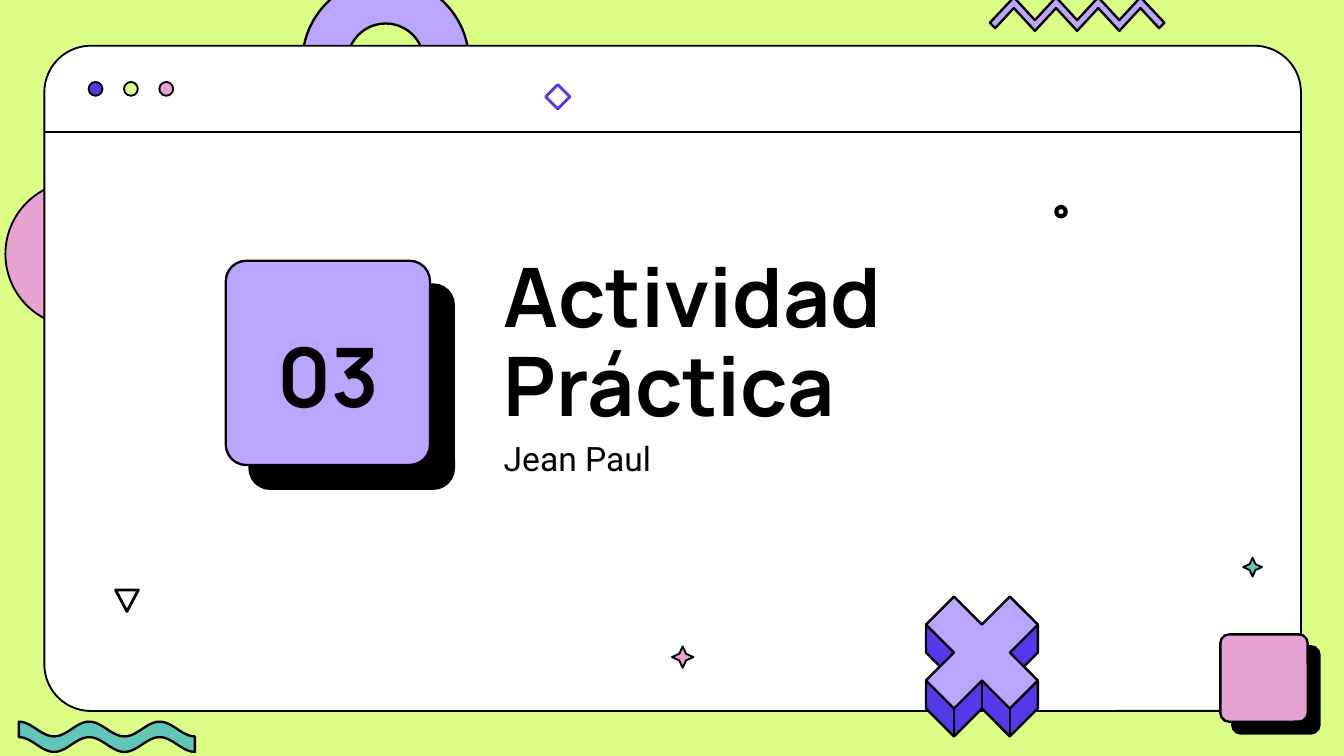
from math import cos, pi
from typing import NamedTuple, Optional

from lxml.etree import SubElement
from pptx import Presentation
from pptx.dml.color import RGBColor
from pptx.enum.shapes import MSO_CONNECTOR, MSO_SHAPE
from pptx.enum.text import MSO_ANCHOR, PP_ALIGN
from pptx.oxml.ns import qn
from pptx.util import Emu, Inches, Pt

COLS, ROWS = 100, 56.25
WIDE = Inches(10)
CELL = WIDE / COLS
BLACK, WHITE, LIME = "000000", "FFFFFF", "DBFE87"
LILAC, BLUE, PINK, TEAL = "BAA5FF", "5339EA", "E6A2D0", "60C7B8"


class Box(NamedTuple):
    """A place on the grid, in columns and rows."""
    col: float
    row: float
    wide: float
    high: float


class Style(NamedTuple):
    """Fill, line colour and line width in points."""
    fill: Optional[str]
    line: str = BLACK
    width: float = 1


class Form(NamedTuple):
    """A preset shape with its place, look and options."""
    kind: MSO_SHAPE
    box: Box
    style: Style
    bend: Optional[float] = None
    shade: float = 0


class Label(NamedTuple):
    """A line of text with its place and type."""
    text: str
    box: Box
    font: str
    size: float
    bold: bool
    anchor: MSO_ANCHOR
    align: PP_ALIGN
    gap: float


def grid(num: float) -> Emu:
    """Turn grid cells into a length."""
    return Emu(round(num * CELL))


def tint(color: str) -> RGBColor:
    """Turn a hex string into a colour."""
    return RGBColor.from_string(color)


def paint(shape, style: Style) -> None:
    """Give a shape its fill and line, without a theme shadow."""
    shape.shadow.inherit = False
    if style.fill:
        shape.fill.solid()
        shape.fill.fore_color.rgb = tint(style.fill)
    else:
        shape.fill.background()
    shape.line.color.rgb = tint(style.line)
    shape.line.width = Pt(style.width)


def cast(shape, points: float) -> None:
    """Add a hard black shadow toward the lower right."""
    effects = shape._element.spPr.find(qn("a:effectLst"))
    outer = SubElement(effects, qn("a:outerShdw"), dist=str(Pt(points)),
                       dir="2700000", algn="bl", rotWithShape="0")
    SubElement(outer, qn("a:srgbClr"), val=BLACK)


def draw(slide, form: Form) -> None:
    """Draw a preset shape."""
    shape = slide.shapes.add_shape(form.kind, *map(grid, form.box))
    paint(shape, form.style)
    if form.bend is not None:
        shape.adjustments[0] = form.bend
    if form.shade:
        cast(shape, form.shade)


def trace(slide, points: list, style: Style) -> None:
    """Draw a closed outline through grid points."""
    spots = [(grid(col), grid(row)) for col, row in points]
    pen = slide.shapes.build_freeform(*spots[0], scale=1)
    pen.add_line_segments(spots[1:], close=True)
    paint(pen.convert_to_shape(), style)


def rule(slide, start: tuple, end: tuple, width: float) -> None:
    """Draw a straight black line between grid points."""
    line = slide.shapes.add_connector(
        MSO_CONNECTOR.STRAIGHT, *map(grid, start + end))
    line.line.color.rgb = tint(BLACK)
    line.line.width = Pt(width)
    SubElement(line._element.spPr, qn("a:effectLst"))


def write(slide, label: Label) -> None:
    """Write a label in a text box."""
    frame = slide.shapes.add_textbox(*map(grid, label.box)).text_frame
    frame.word_wrap = True
    frame.vertical_anchor = label.anchor
    frame.margin_top = frame.margin_bottom = grid(1)
    para = frame.paragraphs[0]
    para.text = label.text
    para.alignment = label.align
    para.line_spacing = 0.9
    para.space_before = Pt(label.gap)
    para.font.name = label.font
    para.font.size = Pt(label.size)
    para.font.bold = label.bold
    para.font.color.rgb = tint(BLACK)


def cross(slide) -> None:
    """Draw the solid cross on its own small grid."""
    def spot(col: float, row: float) -> tuple:
        return 68.9 + 2.08 * col, 44.4 + 2.08 * row

    top = [(1, 0), (2, 1), (3, 0), (4, 1), (3, 2), (4, 3),
           (3, 4), (2, 3), (1, 4), (0, 3), (1, 2), (0, 1)]
    side = [(1, 0), (2, 1), (3, 0), (4, 1), (4, 2), (3.5, 2.5), (4, 3),
            (4, 4), (3, 5), (2, 4), (1, 5), (0, 4), (0, 3), (0.5, 2.5),
            (0, 2), (0, 1)]
    for points, color in ((side, BLUE), (top, LILAC)):
        trace(slide, [spot(*p) for p in points], Style(color, width=1.25))
    for col, row in ((1, 4), (2, 3), (3, 4)):
        rule(slide, spot(col, row), spot(col, row + 1), 1.25)


def wave(slide) -> None:
    """Draw the wavy band as two and a half turns of a cosine."""
    steps = 60
    edge = [(1.4 + 13.1 * i / steps, 54.25 - 0.55 * cos(5 * pi * i / steps))
            for i in range(steps + 1)]
    base = [(col, row + 1.15) for col, row in reversed(edge)]
    trace(slide, edge + base, Style(TEAL, width=1.25))


def zigzag(slide) -> None:
    """Draw the zigzag band from its middle outward."""
    half = [(0, 2.3), (1.57, 0.6), (3.14, 2.3), (4.71, 0.6), (6.1, 2.1),
            (6.5, 1.7), (4.71, -0.2), (3.14, 1.5), (1.57, -0.2), (0, 1.5)]
    mid = 80.15
    low = [(mid - col, row) for col, row in half]
    high = [(mid + col, row) for col, row in reversed(half)]
    trace(slide, low + high, Style(LILAC, width=1.25))


def main() -> None:
    """Build the slide and save it."""
    deck = Presentation()
    deck.slide_width, deck.slide_height = WIDE, grid(ROWS)
    slide = deck.slides.add_slide(deck.slide_layouts[6])
    slide.background.fill.solid()
    slide.background.fill.fore_color.rgb = tint(LIME)

    kind = MSO_SHAPE
    back = [
        Form(kind.DONUT, Box(22.5, -1.6, 12.4, 12.4),
             Style(LILAC, width=1.25), 0.27),
        Form(kind.OVAL, Box(0.4, 13.5, 10.8, 10.8), Style(PINK)),
        Form(kind.ROUNDED_RECTANGLE, Box(3.3, 3.4, 93.5, 49.5),
             Style(WHITE), 0.07),
    ]
    front = [
        Form(kind.ROUNDED_RECTANGLE, Box(16.8, 19.4, 15.2, 15.2),
             Style(LILAC, width=1.25), 0.1, 18),
        Form(kind.STAR_4_POINT, Box(50, 48.1, 1.6, 1.6), Style(PINK), 0.22),
        Form(kind.STAR_4_POINT, Box(92.5, 41.5, 1.4, 1.4), Style(TEAL), 0.22),
        Form(kind.FLOWCHART_MERGE, Box(8.6, 43.9, 1.7, 1.6),
             Style(None, width=1.5)),
        Form(kind.DIAMOND, Box(40.6, 6.3, 1.8, 1.8),
             Style(None, BLUE, 1.5)),
        Form(kind.OVAL, Box(78.6, 15.4, 0.7, 0.7), Style(None, width=2.25)),
        Form(kind.ROUNDED_RECTANGLE, Box(90.8, 47.2, 6.5, 6.5),
             Style(PINK, width=1.25), 0.1, 9),
    ]
    dots = [Form(kind.OVAL, Box(6.6 + 2.63 * i, 6.1, 1.03, 1.03), Style(color))
            for i, color in enumerate((BLUE, LIME, PINK))]
    labels = [
        Label("Actividad Práctica", Box(36.5, 18.8, 47.6, 14.5), "Manrope",
              44, True, MSO_ANCHOR.BOTTOM, PP_ALIGN.LEFT, 0),
        Label("Jean Paul", Box(36.5, 31.9, 43.3, 4.7), "Roboto",
              18, False, MSO_ANCHOR.TOP, PP_ALIGN.LEFT, 7.5),
        Label("03", Box(16.9, 24.4, 15.1, 7.9), "Manrope",
              44, True, MSO_ANCHOR.MIDDLE, PP_ALIGN.CENTER, 7.5),
    ]
    for form in back:
        draw(slide, form)
    rule(slide, (3.3, 9.85), (96.7, 9.85), 1)
    for form in front + dots:
        draw(slide, form)
    for label in labels:
        write(slide, label)
    cross(slide)
    wave(slide)
    zigzag(slide)
    deck.save("out.pptx")


if __name__ == "__main__":
    main()
